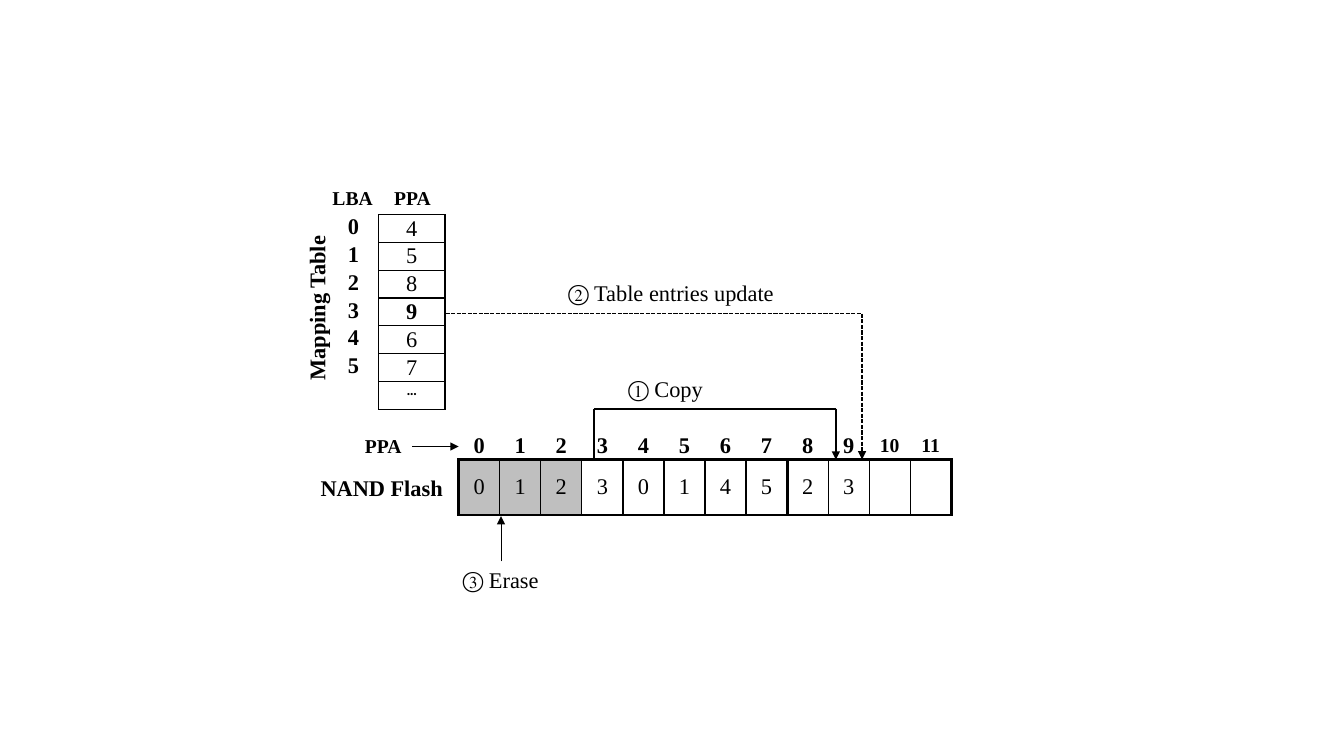
"""Draw a flash garbage collection step with its mapping table and block row."""
from dataclasses import dataclass

from lxml.etree import SubElement
from pptx import Presentation
from pptx.dml.color import RGBColor
from pptx.enum.dml import MSO_LINE
from pptx.enum.shapes import MSO_CONNECTOR
from pptx.enum.text import MSO_ANCHOR, MSO_AUTO_SIZE, PP_ALIGN
from pptx.oxml import parse_xml
from pptx.oxml.ns import nsdecls, qn
from pptx.util import Inches, Pt

COLORS = {"ink": "000000", "erased": "BFBFBF"}
SERIF = "Times New Roman"
NO_TABLE_STYLE = "{2D5ABB26-0587-4C30-8999-92F81FD0307C}"
FLASH_LEFT, FLASH_TOP, FLASH_WIDTH, FLASH_HEIGHT = 34.13, 60.8, 36.68, 7.33
PAGES, BLOCKS = 12, 3
PAGES_PER_BLOCK = PAGES // BLOCKS
ERASED_PAGES = 3
COPY_TOP, COPY_LEFT, COPY_RIGHT = 54.05, 44.18, 62.19
UPDATE_TOP = 41.47


@dataclass(frozen=True)
class Label:
    """A one-line text, placed in percent of the slide."""
    text: str
    left: float
    top: float
    width: float
    size: float = 16
    bold: bool = True
    rotation: int = 0
    align: PP_ALIGN = PP_ALIGN.LEFT


@dataclass(frozen=True)
class Line:
    """A connector between two points in percent of the slide."""
    start: tuple[float, float]
    end: tuple[float, float]
    weight: float
    arrow: bool = True
    bent: bool = False


@dataclass(frozen=True)
class Cell:
    """The content and look of one table cell."""
    text: str = ""
    size: float = 16
    bold: bool = False
    font: str = SERIF
    border: float = 0
    fill: str = ""
    align: PP_ALIGN = PP_ALIGN.CENTER
    anchor: MSO_ANCHOR = MSO_ANCHOR.MIDDLE
    indent: float = 0


LABELS = [
    Label("① Copy", 45.61, 48.93, 7.8, bold=False, align=PP_ALIGN.CENTER),
    Label("② Table entries update", 41.11, 36.27, 17.63, bold=False, align=PP_ALIGN.CENTER),
    Label("③ Erase", 33.31, 74.27, 7.88, bold=False, align=PP_ALIGN.CENTER),
    Label("Mapping Table", 17.33, 38.13, 12.45, rotation=270),
    Label("NAND Flash", 23.11, 62, 10.73),
    Label("LBA", 24, 23.87, 4.58, size=14),
    Label("PPA", 28.58, 23.87, 4.28, size=14),
    Label("PPA", 26.41, 56.8, 4.28, size=14),
]
LINES = [
    Line((COPY_LEFT, FLASH_TOP), (COPY_LEFT, COPY_TOP), 1.5, arrow=False),
    Line((COPY_LEFT, COPY_TOP), (COPY_RIGHT, COPY_TOP), 1.5, arrow=False),
    Line((COPY_RIGHT, COPY_TOP), (COPY_RIGHT, FLASH_TOP), 1.5),
    Line((30.68, 59.07), (FLASH_LEFT, 59.07), 0.5),
    Line((37.28, 74.27), (37.28, 68.27), 0.5),
    Line((33.15, UPDATE_TOP), (64.14, FLASH_TOP), 1, bent=True),
]

presentation = Presentation()
presentation.slide_width, presentation.slide_height = Inches(13.33), Inches(7.5)
slide = presentation.slides.add_slide(presentation.slide_layouts[6])


def across(share: float) -> int:
    """Turn a percentage of the slide width into a length."""
    return round(presentation.slide_width * share / 100)


def down(share: float) -> int:
    """Turn a percentage of the slide height into a length."""
    return round(presentation.slide_height * share / 100)


def color(name: str) -> RGBColor:
    """Look up a named colour."""
    return RGBColor.from_string(COLORS[name])


def style_runs(paragraph, size: float, bold: bool, font: str = SERIF) -> None:
    """Format every run of a paragraph."""
    for run in paragraph.runs:
        run.font.name, run.font.size, run.font.bold = font, Pt(size), bold
        run.font.color.rgb = color("ink")


def draw_label(label: Label) -> None:
    """Place a one-line text box."""
    height = 4.93 if label.size == 16 else 4.53
    shape = slide.shapes.add_textbox(
        across(label.left), down(label.top), across(label.width), down(height))
    shape.rotation = label.rotation
    shape.text_frame.word_wrap = False
    shape.text_frame.auto_size = MSO_AUTO_SIZE.SHAPE_TO_FIT_TEXT
    shape.text_frame.text = label.text
    paragraph = shape.text_frame.paragraphs[0]
    paragraph.alignment = label.align
    style_runs(paragraph, label.size, label.bold)


def draw_line(line: Line) -> None:
    """Draw a straight or bent connector."""
    kind = MSO_CONNECTOR.ELBOW if line.bent else MSO_CONNECTOR.STRAIGHT
    connector = slide.shapes.add_connector(
        kind, across(line.start[0]), down(line.start[1]), across(line.end[0]), down(line.end[1]))
    connector.line.color.rgb = color("ink")
    connector.line.width = Pt(line.weight)
    properties = connector._element.spPr
    if line.bent:
        connector.line.dash_style = MSO_LINE.SQUARE_DOT
        adjustments = properties.find(qn("a:prstGeom")).get_or_add_avLst()
        SubElement(adjustments, qn("a:gd"), name="adj1", fmla="val 100000")
    if line.arrow:
        SubElement(properties.find(qn("a:ln")), qn("a:tailEnd"), type="triangle")
    SubElement(properties, qn("a:effectLst"))


def draw_cell(target, cell: Cell, padded: bool) -> None:
    """Fill in and format one table cell."""
    target.text_frame.text = cell.text
    target.vertical_anchor = cell.anchor
    if not padded:
        target.margin_left = Inches(cell.indent)
        target.margin_right = target.margin_top = target.margin_bottom = 0
    paragraph = target.text_frame.paragraphs[0]
    paragraph.alignment = cell.align
    style_runs(paragraph, cell.size, cell.bold, cell.font)
    if not cell.text:
        SubElement(paragraph._p, qn("a:endParaRPr"), sz=str(round(cell.size * 100)))
    if cell.fill:
        target.fill.solid()
        target.fill.fore_color.rgb = color(cell.fill)
    else:
        target.fill.background()
    if cell.border:
        for index, side in enumerate("LRTB"):
            target._tc.get_or_add_tcPr().insert(index, parse_xml(
                f'<a:ln{side} {nsdecls("a")} w="{Pt(cell.border)}"><a:solidFill>'
                f'<a:srgbClr val="{COLORS["ink"]}"/></a:solidFill></a:ln{side}>'))


def draw_table(left: float, top: float, height: float, widths: list[float],
               rows: list[list[Cell]], padded: bool = True) -> None:
    """Draw a table of equal rows, with column widths in percent of the slide."""
    table = slide.shapes.add_table(
        len(rows), len(widths), across(left), down(top), across(sum(widths)), down(height)).table
    table.first_row = table.horz_banding = False
    table._tbl.tblPr.find(qn("a:tableStyleId")).text = NO_TABLE_STYLE
    for column, width in zip(table.columns, widths):
        column.width = across(width)
    for row_index, row in enumerate(rows):
        table.rows[row_index].height = down(height / len(rows))
        for column_index, cell in enumerate(row):
            draw_cell(table.cell(row_index, column_index), cell, padded)


page_widths = [FLASH_WIDTH / PAGES] * PAGES
addresses = [Cell(str(page), size=16 if page < 10 else 14, bold=True) for page in range(PAGES)]
pages = [Cell(text, border=1, fill="erased" if index < ERASED_PAGES else "")
         for index, text in enumerate([*"0123014523", "", ""])]
mapping = [[Cell(str(logical), bold=True, align=PP_ALIGN.LEFT, anchor=MSO_ANCHOR.TOP, indent=0.22),
            Cell(physical, bold=physical == "9", border=1)]
           for logical, physical in enumerate("458967")]
mapping.append([Cell(), Cell("…", size=10.5, bold=True, font="Calibri", border=1,
                             anchor=MSO_ANCHOR.TOP)])

draw_table(FLASH_LEFT, 56.53, 4.93, page_widths, [addresses])
draw_table(FLASH_LEFT, FLASH_TOP, FLASH_HEIGHT, page_widths, [pages])
draw_table(24.23, 28.4, 25.73, [3.94, 4.94], mapping, padded=False)
draw_table(FLASH_LEFT, FLASH_TOP, FLASH_HEIGHT, [FLASH_WIDTH / PAGES * PAGES_PER_BLOCK] * BLOCKS,
           [[Cell(border=2.25)] * BLOCKS])
for label in LABELS:
    draw_label(label)
for line in LINES:
    draw_line(line)

presentation.save("out.pptx")
